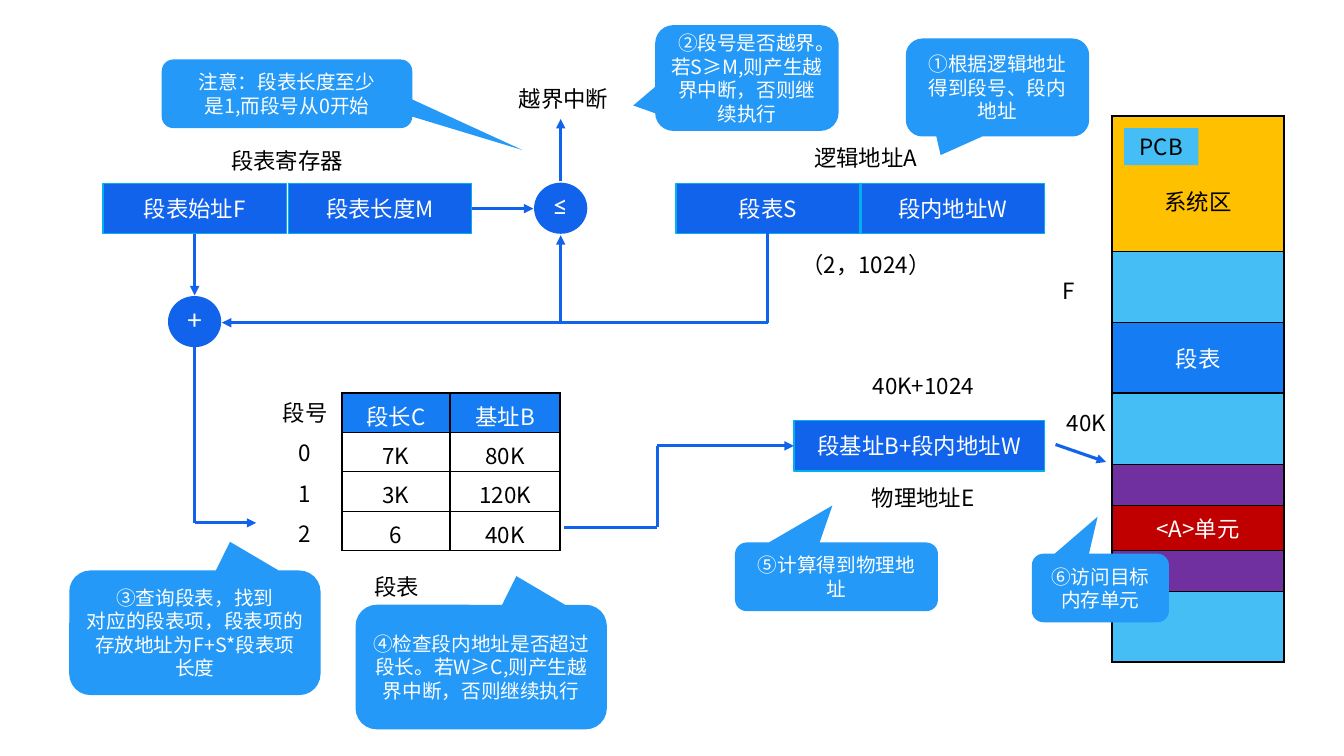
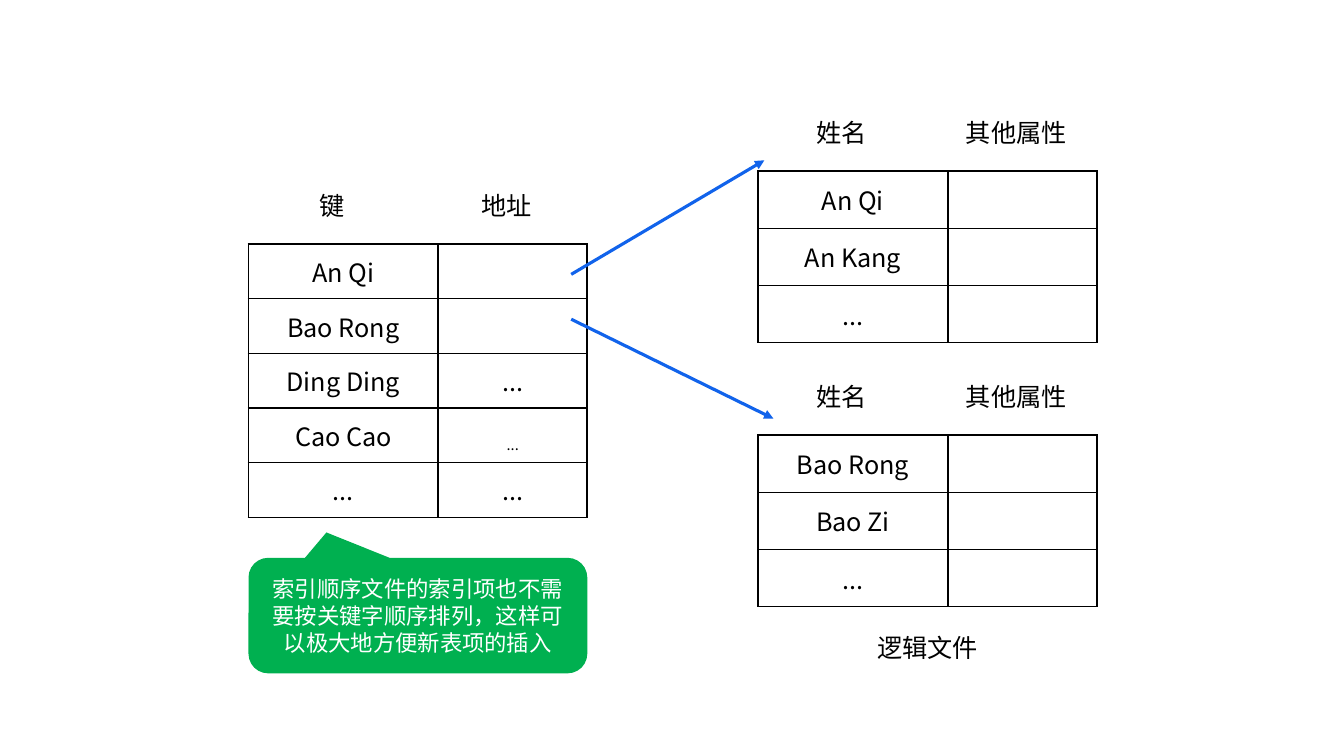
from itertools import pairwise

from pptx import Presentation
from pptx.dml.color import RGBColor
from pptx.enum import shapes, text
from pptx.oxml import ns, xmlchemy
from pptx.util import Pt

CJK = "Noto Sans CJK SC"
BLACK, WHITE = "000000", "FFFFFF"
BLUE, HEADER, CALLOUT, FREE = "1163EB", "157CF3", "2499F8", "45BEF5"
EDGE, SYSTEM, SEGMENT, UNIT, NOTE = "00B0F0", "FFC000", "7030A0", "C00000", "00B050"
SHAPE, ANCHOR = shapes.MSO_SHAPE, text.MSO_ANCHOR


def rgb(value):
    """Turn a hex string into a colour."""
    return RGBColor.from_string(value)


def add_child(parent, tag, **attributes):
    """Append an XML element with attributes and return it."""
    child = xmlchemy.OxmlElement(tag)
    for key, value in attributes.items():
        child.set(key, str(value))
    parent.append(child)
    return child


def write(frame, content, *, size=16, font=CJK, color=BLACK, spacing=None, baseline=None):
    """Fill a text frame with centred paragraphs, one per line of content."""
    frame.word_wrap = True
    for index, line in enumerate(content.split("\n")):
        paragraph = frame.add_paragraph() if index else frame.paragraphs[0]
        paragraph.alignment = text.PP_ALIGN.CENTER
        if spacing:
            paragraph.line_spacing = spacing
        run = paragraph.add_run()
        run.text = line
        run.font.size = Pt(size)
        run.font.color.rgb = rgb(color)
        run.font.name = font
        properties = run._r.get_or_add_rPr()
        add_child(properties, "a:ea", typeface=font)
        if baseline:
            properties.set("baseline", str(baseline))


def label(slide, content, x, y, w, h=26.5, **style):
    """Add a text box that grows with its text."""
    frame = slide.shapes.add_textbox(Pt(x), Pt(y), Pt(w), Pt(h)).text_frame
    write(frame, content, **style)
    frame.auto_size = text.MSO_AUTO_SIZE.SHAPE_TO_FIT_TEXT


def block(slide, content, x, y, w, h, *, kind=SHAPE.RECTANGLE, fill=BLUE, edge=None,
          adjust=(), anchor=ANCHOR.MIDDLE, color=WHITE, **style):
    """Add a filled preset shape with text."""
    shape = slide.shapes.add_shape(kind, Pt(x), Pt(y), Pt(w), Pt(h))
    shape.shadow.inherit = False
    for index, value in enumerate(adjust):
        shape.adjustments[index] = value
    shape.fill.solid()
    shape.fill.fore_color.rgb = rgb(fill)
    if edge:
        shape.line.color.rgb = rgb(edge)
        shape.line.width = Pt(1)
    else:
        shape.line.fill.background()
    write(shape.text_frame, content, color=color, **style)
    shape.text_frame.vertical_anchor = anchor


def field(slide, content, x, y, w=131):
    """Add one outlined address field."""
    block(slide, content, x, y, w, 36, edge=EDGE)


def operator(slide, sign, x, y):
    """Add a round operator node."""
    block(slide, sign, x, y, 38, 36.5, kind=SHAPE.OVAL, anchor=ANCHOR.BOTTOM,
          size=20, font="Calibri")


def callout(slide, content, x, y, w, h, tip, fill=CALLOUT, size=14):
    """Add a rounded callout whose tip is given relative to its centre."""
    block(slide, content, x, y, w, h, kind=SHAPE.ROUNDED_RECTANGULAR_CALLOUT,
          fill=fill, adjust=(*tip, 0.17), size=size)


def arrow(slide, *points):
    """Draw straight segments through the points with a head at the last."""
    for (x1, y1), (x2, y2) in pairwise(points):
        segment = slide.shapes.add_connector(
            shapes.MSO_CONNECTOR.STRAIGHT, Pt(x1), Pt(y1), Pt(x2), Pt(y2))
        segment.line.color.rgb = rgb(BLUE)
        segment.line.width = Pt(2.25)
        add_child(segment._element.spPr, "a:effectLst")
    add_child(segment.line._get_or_add_ln(), "a:tailEnd", type="triangle")


def border(cell, **widths):
    """Set black borders of a cell, keyed by side L, R, T or B."""
    properties = cell._tc.get_or_add_tcPr()
    for side, width in widths.items():
        line = add_child(properties, f"a:ln{side}", w=int(Pt(width)))
        add_child(add_child(line, "a:solidFill"), "a:srgbClr", val=BLACK)


def grid(slide, x, y, widths, heights, rows, *, fills=None, inks=None, bottom=1.0,
         bottom_margin=3.6, size=16):
    """Add a bordered table with one fill and one text colour per row."""
    fills = fills or [WHITE] * len(rows)
    inks = inks or [BLACK] * len(rows)
    table = slide.shapes.add_table(len(rows), len(widths), Pt(x), Pt(y),
                                   Pt(sum(widths)), Pt(sum(heights))).table
    table.first_row = table.horz_banding = False
    for column, width in zip(table.columns, widths):
        column.width = Pt(width)
    for r, (row, height, contents) in enumerate(zip(table.rows, heights, rows)):
        row.height = Pt(height)
        for cell, content in zip(row.cells, contents):
            border(cell, L=1.5, R=1.5, T=1 if r else 1.5,
                   B=bottom if r == len(rows) - 1 else 1)
            cell.fill.solid()
            cell.fill.fore_color.rgb = rgb(fills[r])
            cell.vertical_anchor = ANCHOR.MIDDLE
            cell.margin_bottom = Pt(bottom_margin)
            if content:
                write(cell.text_frame, content, size=size, color=inks[r])
    return table


def record_table(slide, x, y, headings, rows, height):
    """Add a two-column table of records under its headings."""
    for offset, heading in zip((12.5, 137.5), headings):
        label(slide, heading, x + offset, y - 42, 94, 29, size=18)
    return grid(slide, x, y, [135.5, 106.5], [height] * len(rows), rows, size=18)


def address_translation(slide):
    """Build the segment address translation diagram."""
    for content, x in (("段表始址F", 73.5), ("段表长度M", 206),
                       ("段表S", 483), ("段内地址W", 615)):
        field(slide, content, x, 131)
    field(slide, "段基址B+段内地址W", 567, 300.5, 179)

    grid(slide, 244.3, 280.8, [77, 79], [28.1] * 4,
         [("段长C", "基址B"), ("7K", "80K"), ("3K", "120K"), ("6", "40K")],
         fills=[HEADER] + [WHITE] * 3, inks=[WHITE] + [BLACK] * 3,
         bottom=1.5, bottom_margin=0)
    memory = grid(
        slide, 794.3, 82.8, [123], [97, 50.5, 50.5, 51, 29, 32.5, 29, 50.5],
        [("系统区",), ("",), ("段表",), ("",), ("",), ("<A>单元",), ("",), ("",)],
        fills=[SYSTEM, FREE, HEADER, FREE, SEGMENT, UNIT, SEGMENT, FREE],
        inks=[BLACK] + [WHITE] * 7, bottom=1.5)
    memory.cell(0, 0).margin_top = Pt(28)
    block(slide, "PCB", 803, 91.5, 53, 26.5, fill=FREE, color=BLACK)

    arrow(slide, (337, 149), (381, 149))
    arrow(slide, (139, 167), (139, 211))
    arrow(slide, (139, 240), (139, 373.5), (183, 373.5))
    arrow(slide, (400.5, 129), (400.5, 85))
    arrow(slide, (548.5, 163.5), (548.5, 230.5), (158.5, 230.5))
    arrow(slide, (400.5, 230.5), (400.5, 168))
    arrow(slide, (403, 376.5), (469.5, 376.5), (469.5, 318.5), (567, 318.5))
    arrow(slide, (754, 317.5), (790, 330))
    operator(slide, "+", 120, 211.5)
    operator(slide, "≤", 381.5, 130.5)

    for content, x, y, w in (
            ("段表寄存器", 139.5, 101.5, 131), ("越界中断", 337, 57.5, 131),
            ("逻辑地址A", 556, 99.5, 125), ("（2，1024）", 556, 175.5, 125),
            ("40K+1024", 597, 262, 125), ("物理地址E", 597, 342, 125),
            ("40K", 749.5, 289, 53), ("F", 737, 194.5, 53)):
        label(slide, content, x, y, w)
    label(slide, "段号\n0\n1\n2", 191.5, 272, 53, 124, spacing=1.5)
    label(slide, "段表", 257, 396, 53, 36, spacing=1.5)

    for content, x, y, w, h, tip in (
            ("注意：段表长度至少\n是1,而段号从0开始", 115.5, 42.5, 179, 49, (0.94, 0.82)),
            ("①根据逻辑地址得到段号、段内地址", 647, 27.5, 131, 70, (-0.31, 0.69)),
            ("②段号是否越界。若S≥M,则产生越界中断，否则继续执行",
             468, 18, 131, 75.5, (-0.62, 0.26)),
            ("③查询段表，找到\n对应的段表项，段表项的存放地址为F+S*段表项长度",
             49.5, 407.5, 179.5, 89, (0.14, -0.73)),
            ("④检查段内地址是否超过段长。若W≥C,则产生越界中断，否则继续执行",
             254, 432, 179.5, 89, (0.14, -0.73)),
            ("⑤计算得到物理地址", 525, 387.5, 145, 49, (-0.02, -1.04)),
            ("⑥访问目标内存单元", 737, 395.5, 98, 49, (-0.02, -1.04))):
        callout(slide, content, x, y, w, h, tip)


def indexed_file(slide):
    """Build the indexed sequential file diagram."""
    index = record_table(
        slide, 177.5, 174.3, ("键", "地址"),
        [("An Qi", ""), ("Bao Rong", ""), ("Ding Ding", "..."), ("Cao Cao", ""),
         ("...", "...")], 39.05)
    write(index.cell(3, 1).text_frame, "...", size=18, baseline=-25000)
    for y, names in ((122.2, ("An Qi", "An Kang", "...")),
                     (310.7, ("Bao Rong", "Bao Zi", "..."))):
        record_table(slide, 541.5, y, ("姓名", "其他属性"),
                     [(name, "") for name in names], 40.9)
    label(slide, "逻辑文件", 613.5, 448, 98, 29, size=18)
    callout(slide, "索引顺序文件的索引项也不需要按关键字顺序排列，这样可以极大地方便新表项的插入",
            177.5, 398.5, 242, 82.5, (-0.27, -0.72), fill=NOTE, size=16)
    arrow(slide, (408, 196), (546, 114.5))
    arrow(slide, (408, 228), (552.5, 299))


def main():
    """Create and save the presentation."""
    deck = Presentation()
    deck.slide_width, deck.slide_height = Pt(960), Pt(540)
    for build in (address_translation, indexed_file):
        build(deck.slides.add_slide(deck.slide_layouts[6]))
    deck.save("out.pptx")


if __name__ == "__main__":
    main()
